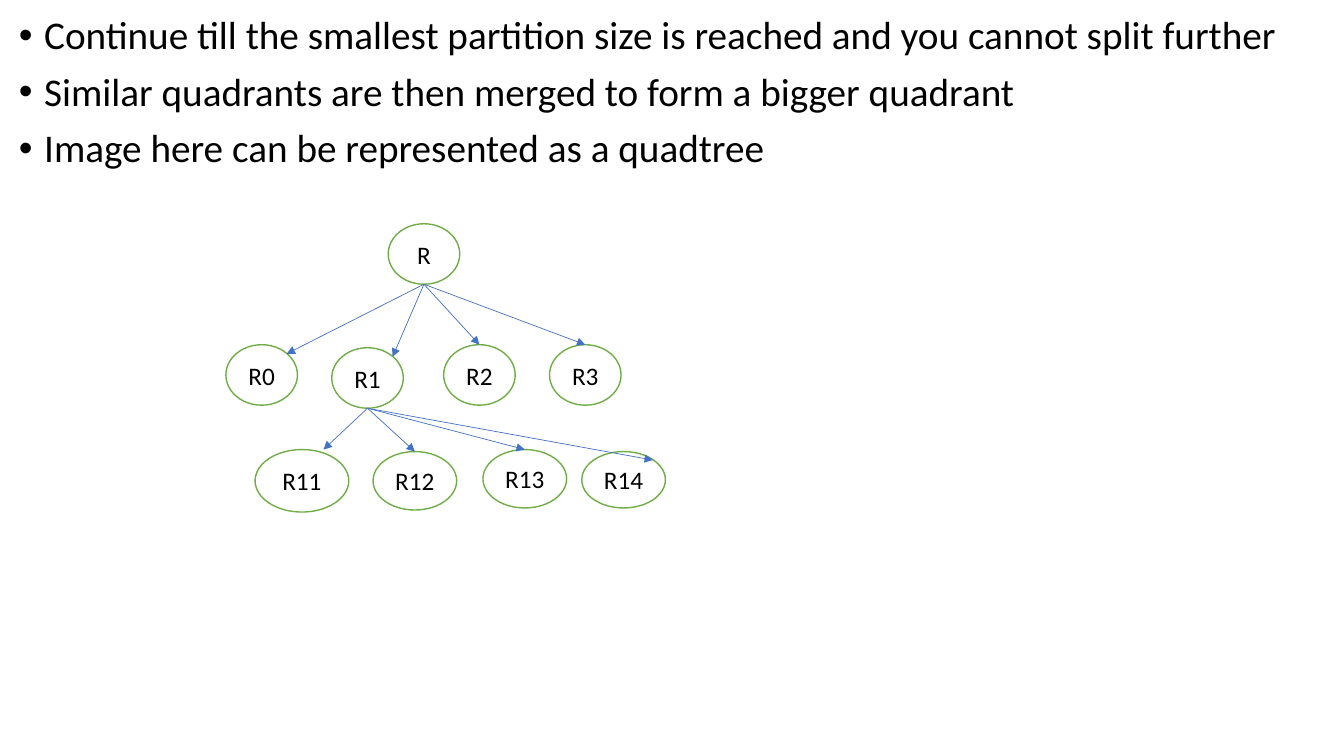
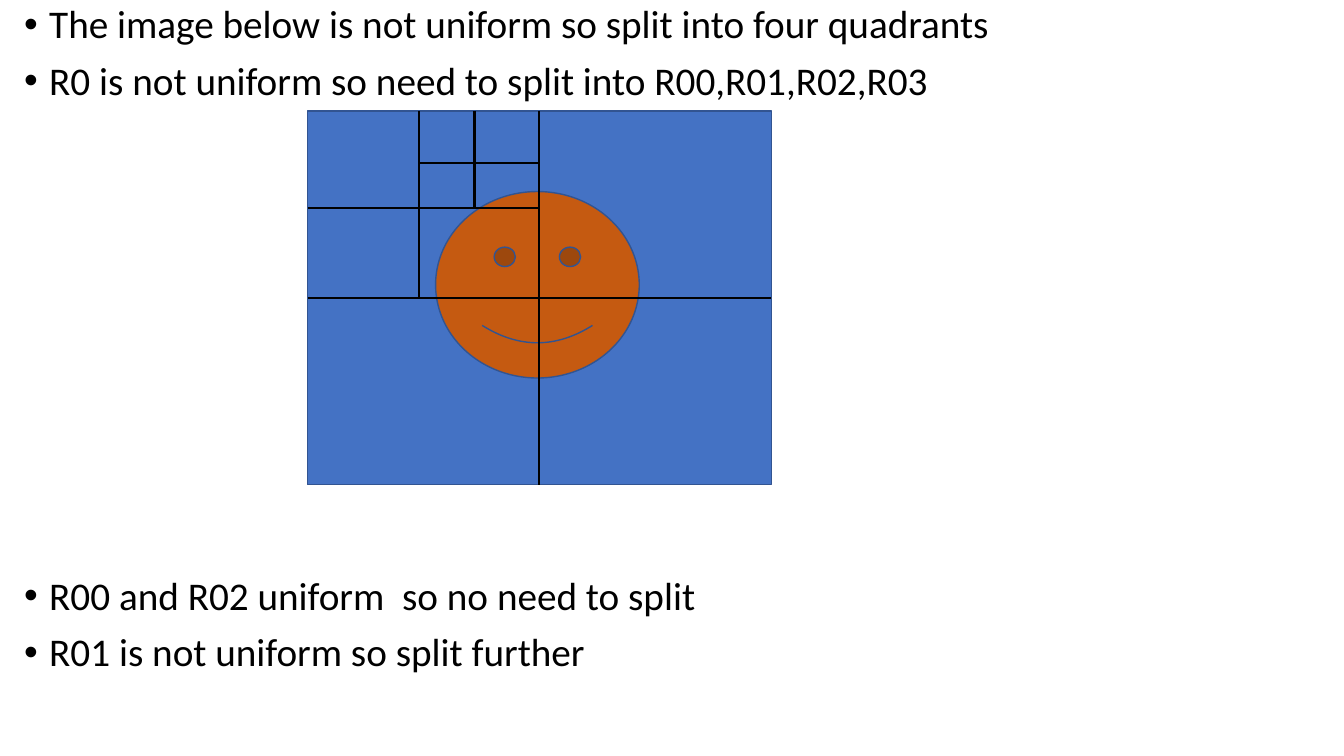
"""Build two slides on region splitting and merging with quadtrees."""
from dataclasses import dataclass
from typing import Any

import pptx
import pptx.dml.color
import pptx.enum.shapes
import pptx.enum.text
import pptx.oxml
import pptx.oxml.ns
import pptx.util

COLS, ROWS = 133.3, 75
CELL = 0.1
SHAPE = pptx.enum.shapes.MSO_SHAPE
FONT = "Calibri"
BLACK, WHITE, GREEN = "000000", "FFFFFF", "70AD47"
BLUE, NAVY, ORANGE = "4472C4", "325491", "C55A11"
BULLET = {"line_spacing": 0.9}
LABEL = {"alignment": pptx.enum.text.PP_ALIGN.CENTER}
LABEL_FRAME = {
    "word_wrap": False,
    "vertical_anchor": pptx.enum.text.MSO_ANCHOR.MIDDLE,
    "margin_left": 0, "margin_right": 0, "margin_top": 0, "margin_bottom": 0,
}
TOP, SHOULDER, CORNER = (0.5, 0), (0.73, 0), (0.85, 0.15)


@dataclass(frozen=True)
class Box:
    """A rectangle in grid columns and rows."""
    col: float
    row: float
    cols: float
    rows: float

    def at(self, x: float, y: float) -> tuple[float, float]:
        """Return the grid point at shares x and y of the box."""
        return self.col + x * self.cols, self.row + y * self.rows


@dataclass(frozen=True)
class Node:
    """A tree node, its parent and where the arrow reaches it."""
    name: str
    box: Box
    parent: str = ""
    tip: tuple[float, float] = TOP


@dataclass(frozen=True)
class Split:
    """A dividing line between two points, in shares of the image."""
    start: tuple[float, float]
    end: tuple[float, float]


NODES = (
    Node("R", Box(38.5, 22.2, 7.1, 6)),
    Node("R0", Box(22.4, 34.2, 7.1, 6), "R", CORNER),
    Node("R1", Box(32.9, 34.5, 7.1, 6), "R", CORNER),
    Node("R2", Box(44, 34.2, 7.1, 6), "R"),
    Node("R3", Box(54.5, 34.2, 7.1, 6), "R"),
    Node("R11", Box(25.3, 44.6, 9.3, 6.2), "R1", SHOULDER),
    Node("R12", Box(37, 44.8, 8.3, 5.8), "R1"),
    Node("R13", Box(47.9, 44.6, 8.3, 5.8), "R1"),
    Node("R14", Box(57.7, 44.8, 8.3, 5.6), "R1", CORNER),
)
IMAGE = Box(30.5, 11, 46, 37.1)
FACE = Box(43.2, 19, 20.2, 18.5)
SPLITS = (
    Split((0.5, 0), (0.5, 1)),
    Split((0, 0.5), (1, 0.5)),
    Split((0.24, 0), (0.24, 0.5)),
    Split((0, 0.26), (0.5, 0.26)),
    Split((0.36, 0), (0.36, 0.26)),
    Split((0.24, 0.14), (0.5, 0.14)),
)


def grid(*cells: float) -> list[int]:
    """Convert grid cells to lengths."""
    return [pptx.util.Inches(n * CELL) for n in cells]


def apply(obj: Any, values: dict[str, Any]) -> None:
    """Set attributes from a dict of format values."""
    for name, value in values.items():
        setattr(obj, name, value)


def colour(fmt: Any, hex_code: str) -> None:
    """Give a fill or a font colour a hex value."""
    fmt.rgb = pptx.dml.color.RGBColor.from_string(hex_code)


def outline(line: Any, hex_code: str, width: float) -> None:
    """Style a line."""
    line.fill.solid()
    colour(line.fill.fore_color, hex_code)
    line.width = pptx.util.Pt(width)


def write(p: Any, text: str, size: float, values: dict[str, Any]) -> None:
    """Write one run of black text into a paragraph."""
    apply(p, values)
    r = p.add_run()
    r.text = text
    apply(r.font, {"name": FONT, "size": pptx.util.Pt(size)})
    colour(r.font.color, BLACK)


def add_bullets(slide: Any, box: Box, items: list[str]) -> None:
    """Add a bulleted text box."""
    tf = slide.shapes.add_textbox(*grid(box.col, box.row, box.cols, box.rows)).text_frame
    tf.word_wrap = True
    for i, text in enumerate(items):
        p = tf.add_paragraph() if i else tf.paragraphs[0]
        pPr = p._p.get_or_add_pPr()
        indent = pptx.util.Inches(0.25)
        pPr.set("marL", str(indent))
        pPr.set("indent", str(-indent))
        font = pptx.oxml.ns.qn("a:buFont")
        pPr.append(pPr.makeelement(font, {"typeface": "Arial"}))
        pPr.append(pPr.makeelement(pptx.oxml.ns.qn("a:buChar"), {"char": "•"}))
        before = pptx.util.Pt(10 if i else 0)
        write(p, text, 28, {**BULLET, "space_before": before})


def add_shape(slide: Any, kind: Any, box: Box, fill: str, line: str) -> Any:
    """Add a filled and outlined preset shape."""
    sp = slide.shapes.add_shape(kind, *grid(box.col, box.row, box.cols, box.rows))
    sp.shadow.inherit = False
    sp.fill.solid()
    colour(sp.fill.fore_color, fill)
    outline(sp.line, line, 1)
    return sp


def add_line(slide: Any, start: tuple[float, float], end: tuple[float, float],
             hex_code: str, width: float, arrow: bool = False) -> Any:
    """Add a straight connector, with an arrowhead if asked."""
    kind = pptx.enum.shapes.MSO_CONNECTOR.STRAIGHT
    cxn = slide.shapes.add_connector(kind, *grid(*start, *end))
    outline(cxn.line, hex_code, width)
    if arrow:
        ln = cxn.line._get_or_add_ln()
        ln.append(ln.makeelement(pptx.oxml.ns.qn("a:tailEnd"), {"type": "triangle"}))
    spPr = cxn._element.spPr
    spPr.append(spPr.makeelement(pptx.oxml.ns.qn("a:effectLst"), {}))
    return cxn


def add_tree(slide: Any, nodes: tuple[Node, ...]) -> None:
    """Draw the nodes, then an arrow from each parent to its child."""
    shapes = {}
    for node in nodes:
        sp = shapes[node.name] = add_shape(slide, SHAPE.OVAL, node.box, WHITE, GREEN)
        tf = sp.text_frame
        apply(tf, LABEL_FRAME)
        write(tf.paragraphs[0], node.name, 18, LABEL)
    boxes = {node.name: node.box for node in nodes}
    for node in nodes:
        if node.parent:
            start = boxes[node.parent].at(0.5, 1)
            cxn = add_line(slide, start, node.box.at(*node.tip), BLUE, 0.5, True)
            if node.tip == TOP:
                cxn.end_connect(shapes[node.name], 0)


def add_split_image(slide: Any) -> None:
    """Draw the image with its face and the quadrant lines."""
    add_shape(slide, SHAPE.RECTANGLE, IMAGE, BLUE, NAVY)
    add_shape(slide, SHAPE.SMILEY_FACE, FACE, ORANGE, NAVY)
    for split in SPLITS:
        add_line(slide, IMAGE.at(*split.start), IMAGE.at(*split.end), BLACK, 1.5)


def main() -> None:
    """Build and save the presentation."""
    prs = pptx.Presentation()
    prs.slide_width, prs.slide_height = grid(COLS, ROWS)
    blank = prs.slide_layouts[6]

    slide = prs.slides.add_slide(blank)
    add_bullets(slide, Box(0.9, 1.1, 130.7, 72.2), [
        "Continue till the smallest partition size is reached and you cannot split further",
        "Similar quadrants are then merged to form a bigger quadrant",
        "Image here can be represented as a quadtree",
    ])
    add_tree(slide, NODES)

    slide = prs.slides.add_slide(blank)
    add_bullets(slide, Box(1.4, 0, 130, 10.9), [
        "The image below is not uniform so split into four quadrants",
        "R0 is not uniform so need to split into R00,R01,R02,R03",
    ])
    add_bullets(slide, Box(1.4, 56.7, 130, 15.7), [
        "R00 and R02 uniform  so no need to split",
        "R01 is not uniform so split further",
    ])
    add_split_image(slide)

    prs.save("out.pptx")


if __name__ == "__main__":
    main()
